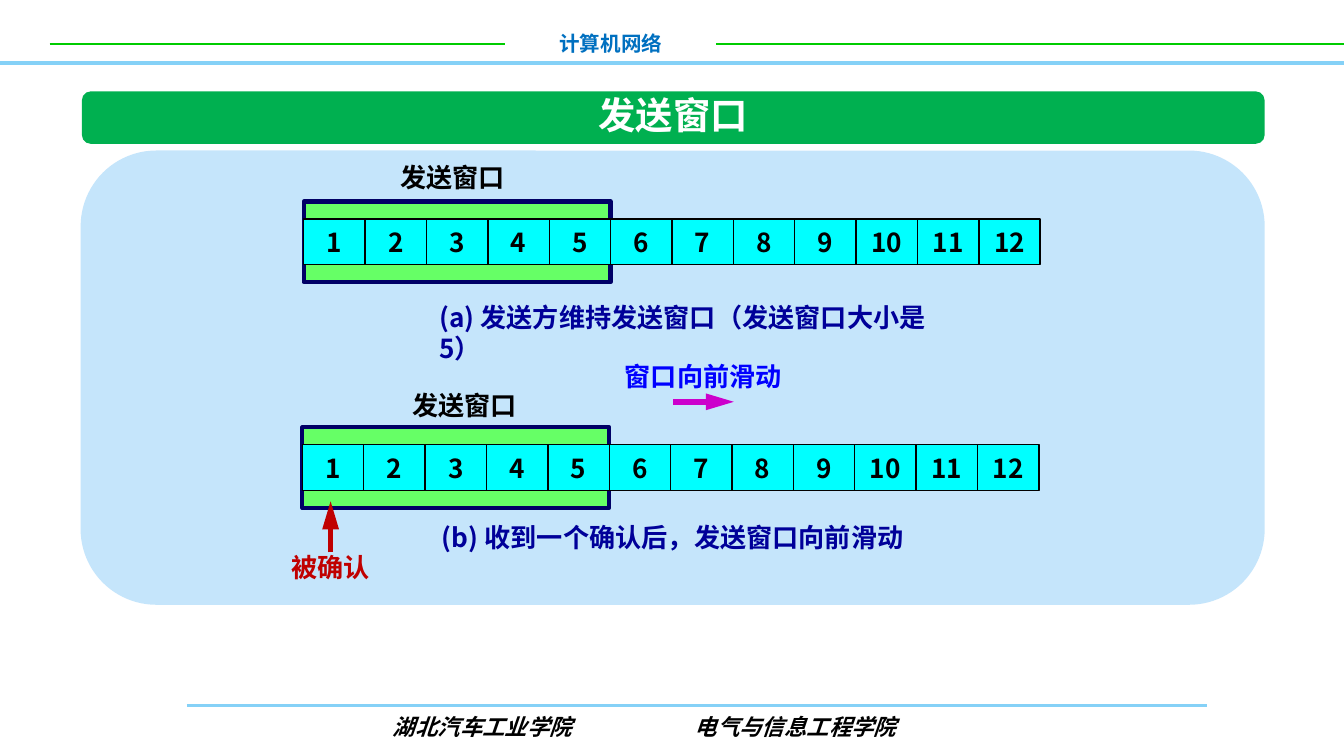
from pptx import Presentation
from pptx.dml.color import RGBColor
from pptx.enum.shapes import MSO_CONNECTOR, MSO_SHAPE
from pptx.enum.text import MSO_ANCHOR, PP_ALIGN
from pptx.oxml.ns import qn
from pptx.util import Inches, Pt
from lxml.etree import SubElement

THEME = {
    "font": "Noto Sans CJK SC", "footer_font": "Arial",
    "title_size": 20, "body_size": 14, "footer_size": 12, "header_size": 11,
    "black": "000000", "white": "FFFFFF", "sky": "85D1F7", "green": "00CC00",
    "header": "0070C0", "banner": "00B050", "panel": "C5E5FB",
    "window": "66FF66", "window_border": "000066", "frame": "00FFFF",
    "caption": "000099", "slide_note": "0000FF", "slide_arrow": "CC00CC",
    "confirmed": "C00000",
}

# start, end, colour, width in points
RULES = [
    ((1.39, 5.25), (8.98, 5.25), "sky", 1.5),
    ((5.33, 0.33), (10, 0.33), "green", 1),
    ((0, 0.47), (10, 0.47), "sky", 2),
    ((0.37, 0.33), (3.76, 0.33), "green", 1),
]
ARROWS = [
    ((5.01, 2.99), (5.46, 2.99), "slide_arrow", 3),
    ((2.46, 4.11), (2.46, 3.73), "confirmed", 3),
]
FOOTERS = [("湖北汽车工业学院", 2.59), ("电气与信息工程学院", 4.92)]
FOOTER_WIDTH = 2

# text, (left, top, width, height), colour, wraps
LABELS = [
    ("发送窗口", (2.88, 1.15, 0.99, 0.34), "black", False),
    ("(a) 发送方维持发送窗口（发送窗口大小是 5）", (3.17, 2.19, 3.95, 0.6), "caption", True),
    ("窗口向前滑动", (4.55, 2.63, 1.38, 0.34), "slide_note", False),
    ("发送窗口", (2.97, 2.85, 0.99, 0.34), "black", False),
    ("(b) 收到一个确认后，发送窗口向前滑动", (3.19, 3.83, 3.69, 0.34), "caption", False),
    ("被确认", (2.07, 4.05, 0.79, 0.34), "confirmed", False),
]

FRAME_ROWS = [(2.26, 1.63), (2.25, 3.31)]
FRAME_COUNT, WINDOW_SIZE = 12, 5
ROW_WIDTH, ROW_HEIGHT, WINDOW_MARGIN = 5.48, 0.34, 0.13
FRAME_WIDTH = ROW_WIDTH / FRAME_COUNT


def color(name):
    return RGBColor.from_string(THEME[name])


def add_box(slide, preset, place, fill, border=None, border_width=0.75):
    shape = slide.shapes.add_shape(preset, *map(Inches, place))
    shape.shadow.inherit = False
    shape.fill.solid()
    shape.fill.fore_color.rgb = color(fill)
    if border:
        shape.line.color.rgb = color(border)
        shape.line.width = Pt(border_width)
    else:
        shape.line.fill.background()
    return shape


def add_line(slide, start, end, line_color, width, arrow=False):
    line = slide.shapes.add_connector(
        MSO_CONNECTOR.STRAIGHT, *map(Inches, (*start, *end)))
    line.line.color.rgb = color(line_color)
    line.line.width = Pt(width)
    if arrow:
        SubElement(line.line._get_or_add_ln(), qn("a:tailEnd"),
                   type="triangle", w="med", len="lg")
    SubElement(line._element.spPr, qn("a:effectLst"))


def add_text(slide, text, place, text_color="black", size="body_size", font="font",
             centred=False, middle=False, wrap=False, italic=False):
    text_frame = slide.shapes.add_textbox(*map(Inches, place)).text_frame
    text_frame.word_wrap = wrap
    text_frame.vertical_anchor = MSO_ANCHOR.MIDDLE if middle else MSO_ANCHOR.TOP
    text_frame.text = text
    paragraph = text_frame.paragraphs[0]
    paragraph.alignment = PP_ALIGN.CENTER if centred else PP_ALIGN.LEFT
    run = paragraph.runs[0]
    run.font.name = THEME[font]
    run.font.size = Pt(THEME[size])
    run.font.bold = True
    run.font.italic = italic
    run.font.color.rgb = color(text_color)
    SubElement(run.font._element, qn("a:ea"), typeface=THEME["font"])


def add_frame_row(slide, left, top):
    """Draw the numbered frames over the send window that covers the first ones."""
    window = (left, top - WINDOW_MARGIN,
              WINDOW_SIZE * FRAME_WIDTH, ROW_HEIGHT + 2 * WINDOW_MARGIN)
    add_box(slide, MSO_SHAPE.RECTANGLE, window, "window", "window_border", 2.25)
    add_box(slide, MSO_SHAPE.RECTANGLE, (left, top, ROW_WIDTH, ROW_HEIGHT),
            "frame", "black")
    for index in range(FRAME_COUNT):
        x = left + index * FRAME_WIDTH
        add_text(slide, str(index + 1), (x, top, FRAME_WIDTH, ROW_HEIGHT),
                 centred=True, middle=True)
        if index:
            add_line(slide, (x, top), (x, top + ROW_HEIGHT), "black", 0.75)


def main():
    presentation = Presentation()
    presentation.slide_width = Inches(10)
    presentation.slide_height = Inches(10 * 9 / 16)
    slide = presentation.slides.add_slide(presentation.slide_layouts[6])

    for rule in RULES:
        add_line(slide, *rule)
    for text, left in FOOTERS:
        add_text(slide, text, (left, 5.26, FOOTER_WIDTH, 0.3), size="footer_size",
                 font="footer_font", centred=True, wrap=True, italic=True)
    add_text(slide, "计算机网络", (3.76, 0.18, 1.57, 0.29), "header", "header_size",
             centred=True, wrap=True)

    add_box(slide, MSO_SHAPE.ROUNDED_RECTANGLE, (0.6, 1.12, 8.81, 3.38), "panel")
    add_box(slide, MSO_SHAPE.ROUNDED_RECTANGLE, (0.61, 0.68, 8.8, 0.39), "banner")
    add_text(slide, "发送窗口", (4.35, 0.64, 1.32, 0.44), "white", "title_size",
             centred=True)

    for left, top in FRAME_ROWS:
        add_frame_row(slide, left, top)
    for arrow in ARROWS:
        add_line(slide, *arrow, arrow=True)
    for text, place, text_color, wrap in LABELS:
        add_text(slide, text, place, text_color, wrap=wrap)

    presentation.save("out.pptx")


if __name__ == "__main__":
    main()
